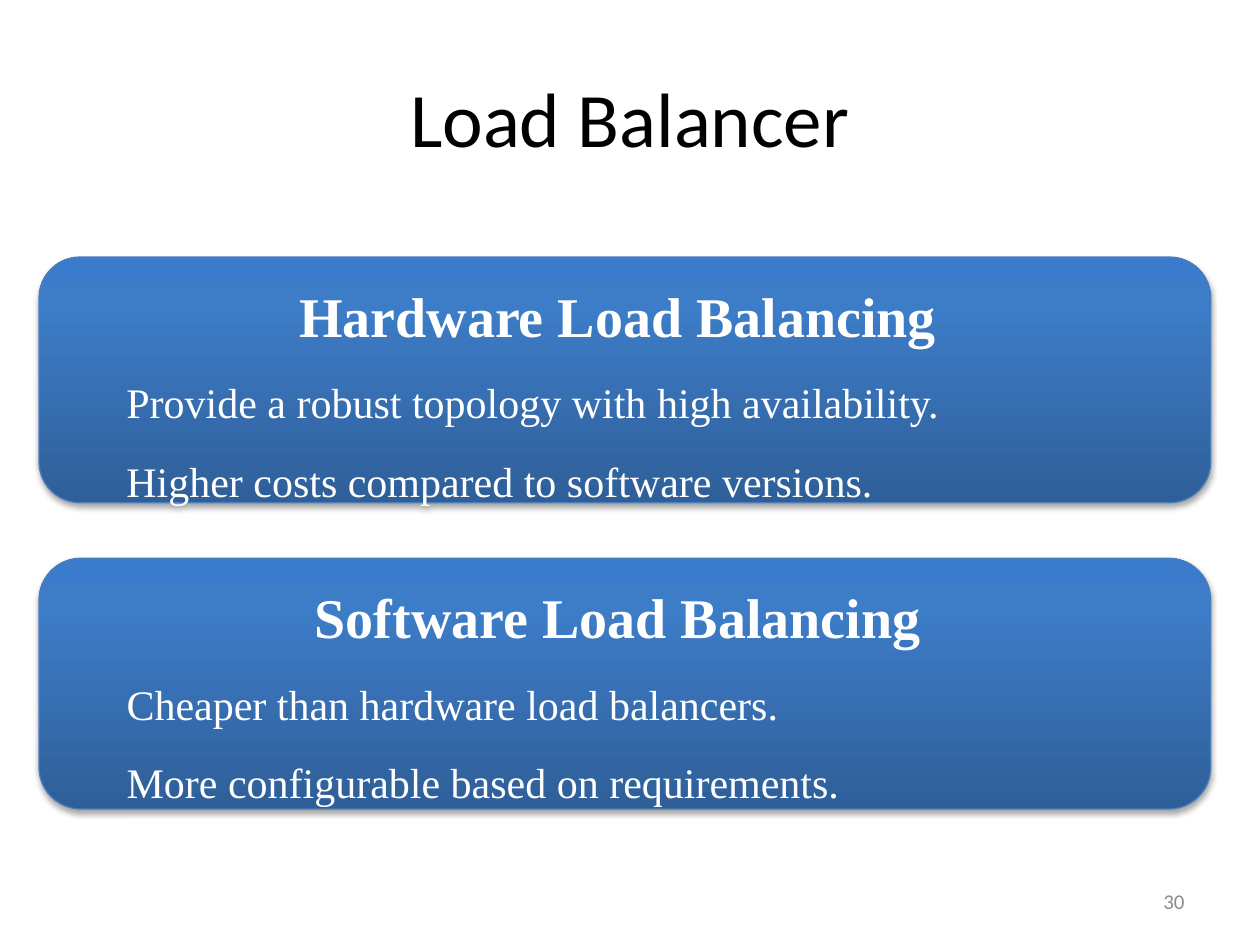
from dataclasses import dataclass

from lxml.etree import SubElement
from pptx import Presentation
from pptx.dml.color import RGBColor
from pptx.enum.shapes import MSO_SHAPE
from pptx.enum.text import MSO_ANCHOR, PP_ALIGN
from pptx.oxml.ns import qn
from pptx.util import Pt


@dataclass(frozen=True)
class Theme:
    sans: str = "Calibri"
    serif: str = "Times New Roman"
    ink: str = "000000"
    pale: str = "FFFFFF"
    grey: str = "8C8C8C"
    edge: str = "4B7EBC"
    shade: str = "000000"
    ramp: tuple = ((0, "2F5F99"), (80, "3D7CC7"), (100, "3A7CCB"))
    title: int = 44
    head: int = 32
    body: int = 24
    small: int = 12


@dataclass(frozen=True)
class Card:
    top: float
    height: float
    head: str
    lines: tuple[str, ...]
    align: PP_ALIGN


THEME = Theme()
LEFT, WIDTH = 22.3, 669.6
CARDS = (
    Card(146.9, 140.4, "Hardware Load Balancing ",
         ("Provide a robust topology with high availability.",
          "Higher costs compared to software versions. "), PP_ALIGN.JUSTIFY),
    Card(319, 143.3, "Software Load Balancing ",
         ("Cheaper than hardware load balancers.",
          "More configurable based on requirements."), PP_ALIGN.LEFT),
)


def write(para, text: str, *, size: int, font: str, color: str,
          align=PP_ALIGN.LEFT, bold=False, level=0, space=1.0, before=0.0) -> None:
    para.alignment = align
    para.level = level
    para.line_spacing = space
    para.space_before = Pt(before)
    props = para._p.get_or_add_pPr()
    props.set("marL", str(Pt(36 * level)))
    props.set("indent", "0")
    run = para.add_run()
    run.text = text
    run.font.size = Pt(size)
    run.font.name = font
    run.font.bold = bold
    run.font.color.rgb = RGBColor.from_string(color)


def label(slide, box: tuple[float, ...], text: str, **form) -> None:
    frame = slide.shapes.add_textbox(*map(Pt, box)).text_frame
    frame.word_wrap = True
    frame.vertical_anchor = MSO_ANCHOR.MIDDLE
    write(frame.paragraphs[0], text, **form)


def tint(node, color: str):
    tone = SubElement(node, qn("a:srgbClr"), val=color)
    return tone


def style(shape) -> None:
    # Gradient from the bottom edge up
    shape.fill.gradient()
    shape.fill.gradient_angle = 90
    stops = shape._element.spPr.find(qn("a:gradFill")).find(qn("a:gsLst"))
    for stop in list(stops):
        stops.remove(stop)
    for place, color in THEME.ramp:
        tint(SubElement(stops, qn("a:gs"), pos=str(place * 1000)), color)
    shape.line.color.rgb = RGBColor.from_string(THEME.edge)
    shape.line.width = Pt(0.75)
    # Soft shadow below
    shape.shadow.inherit = False
    effects = shape._element.spPr.find(qn("a:effectLst"))
    cast = SubElement(effects, qn("a:outerShdw"), blurRad=str(Pt(3.1)),
                      dist=str(Pt(1.8)), dir="5400000", rotWithShape="0")
    SubElement(tint(cast, THEME.shade), qn("a:alpha"), val="35000")


def draw(slide, card: Card) -> None:
    shape = slide.shapes.add_shape(
        MSO_SHAPE.ROUNDED_RECTANGLE,
        *map(Pt, (LEFT, card.top, WIDTH, card.height)))
    style(shape)
    frame = shape.text_frame
    frame.word_wrap = True
    frame.vertical_anchor = MSO_ANCHOR.TOP
    frame.margin_top = Pt(7)
    write(frame.paragraphs[0], card.head, size=THEME.head, font=THEME.serif,
          color=THEME.pale, align=PP_ALIGN.CENTER, bold=True)
    for line in card.lines:
        write(frame.add_paragraph(), line, size=THEME.body, font=THEME.serif,
              color=THEME.pale, align=card.align, level=1, space=1.5, before=1.7)


def main() -> None:
    deck = Presentation()
    deck.slide_width, deck.slide_height = Pt(720), Pt(540)
    slide = deck.slides.add_slide(deck.slide_layouts[6])

    # Title and slide number
    label(slide, (36, 21.6, 648, 90), "Load Balancer", size=THEME.title,
          font=THEME.sans, color=THEME.ink, align=PP_ALIGN.CENTER)
    label(slide, (516, 500.5, 168, 28.8), "30", size=THEME.small,
          font=THEME.sans, color=THEME.grey, align=PP_ALIGN.RIGHT)

    # Cards
    for card in CARDS:
        draw(slide, card)

    deck.save("out.pptx")


if __name__ == "__main__":
    main()
